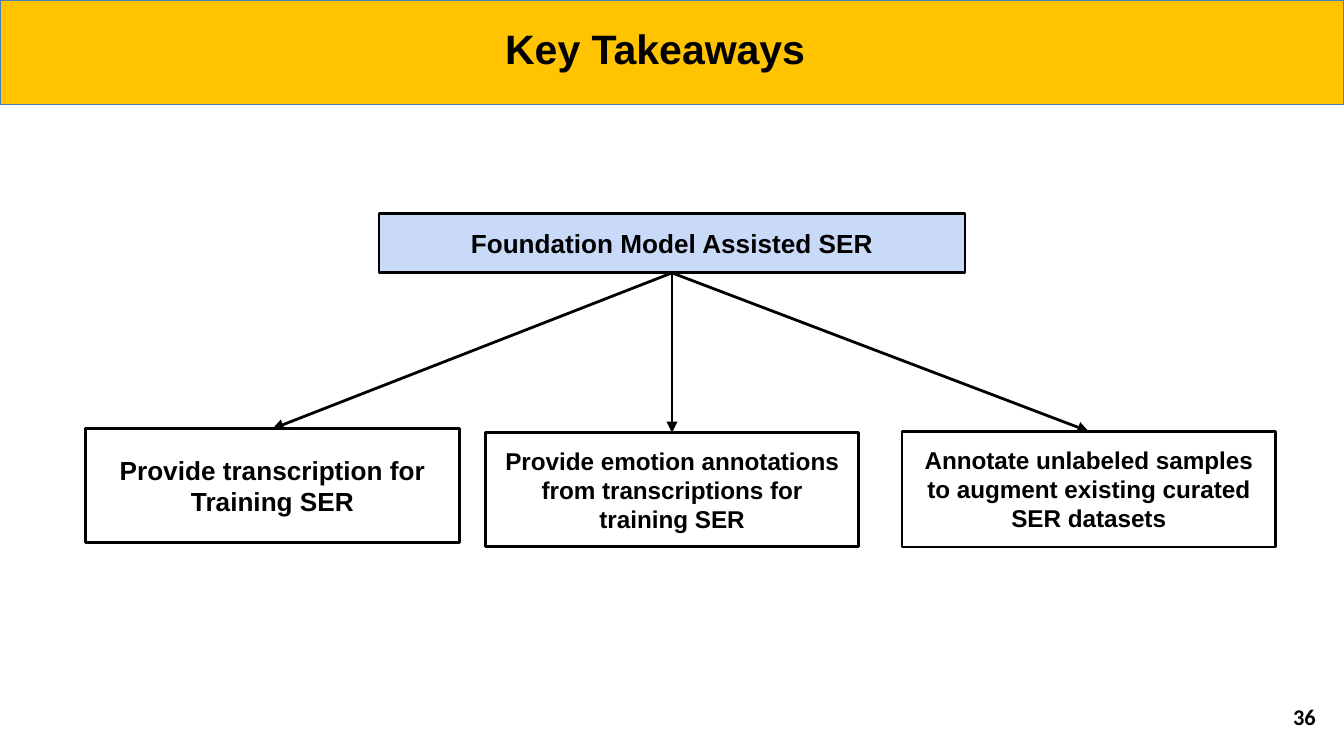
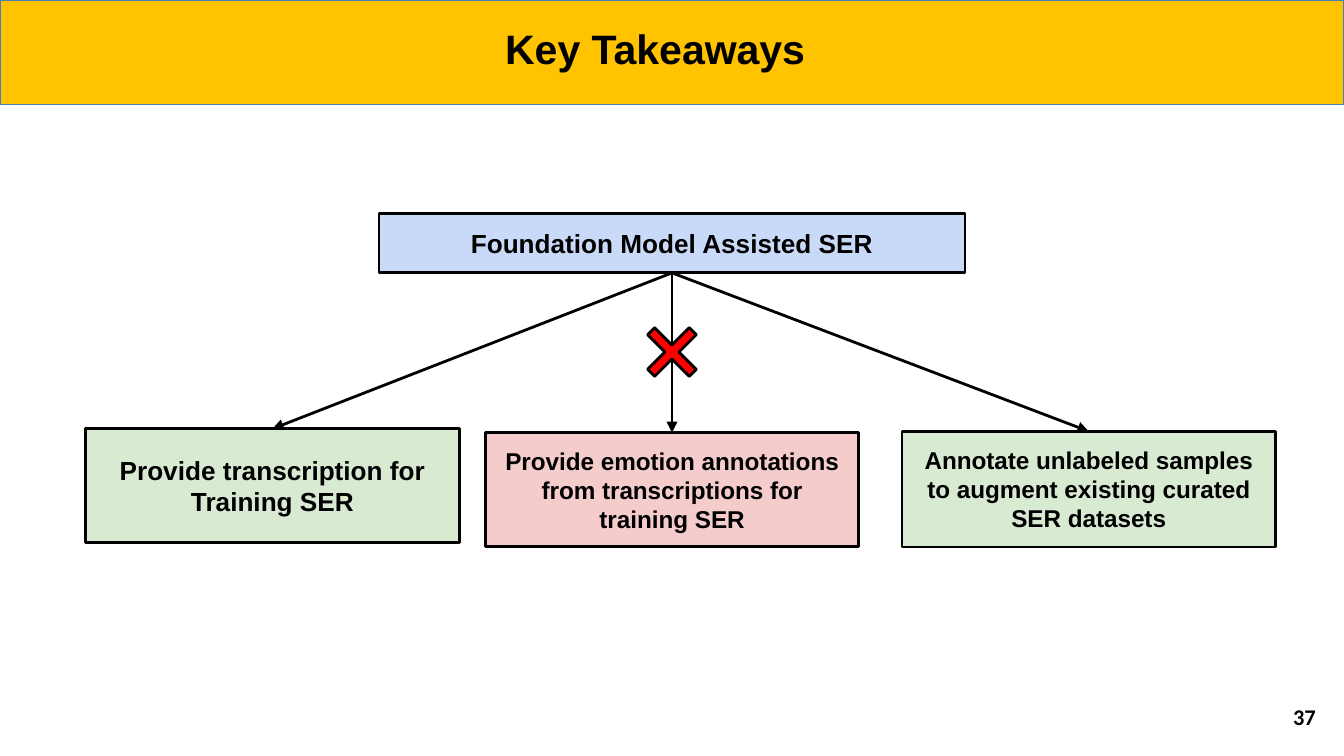
from collections import namedtuple
from dataclasses import dataclass

from lxml import etree
from pptx import Presentation
from pptx.dml.color import RGBColor
from pptx.enum import shapes, text
from pptx.oxml import ns
from pptx.util import Pt

Box = namedtuple("Box", "x y w h")
Goal = namedtuple("Goal", "label x y h size anchor")
TOP, MIDDLE = text.MSO_ANCHOR.TOP, text.MSO_ANCHOR.MIDDLE
CENTER, RIGHT = text.PP_ALIGN.CENTER, text.PP_ALIGN.RIGHT


@dataclass(frozen=True)
class Theme:
    band: str = "FFC302"
    band_line: str = "4A7EBB"
    ink: str = "000000"
    root: str = "C9DAF8"
    good: str = "D9EAD3"
    bad: str = "F4CCCC"
    cross: str = "FF0000"
    font: str = "Arial"
    number_font: str = "Calibri"
    title_size: float = 22
    label_size: float = 14
    small_size: float = 13
    number_size: float = 12
    line: float = 1.5
    inset: float = 7.2


THEME = Theme()
PAGE = Box(0, 0, 720, 405)
BAND = Box(0, 0, 720, 56)
BODY = Box(46, 114.5, 638, 179)
GOAL_WIDTH = 200

# Goal positions are relative to the diagram box
GOALS = [
    Goal("Annotate unlabeled samples to augment existing curated SER datasets",
         437.2, 116.6, 62, THEME.small_size, TOP),
    Goal("Provide transcription for Training SER",
         0, 115.2, 61, THEME.label_size, MIDDLE),
    Goal("Provide emotion annotations from transcriptions for training SER",
         214, 117.3, 61, THEME.small_size, MIDDLE),
]


def color(value):
    return RGBColor.from_string(value)


def write(sp, words, size, font=THEME.font, align=CENTER, anchor=MIDDLE,
          pad_y=THEME.inset):
    tf = sp.text_frame
    tf.text = words
    tf.word_wrap = True
    tf.auto_size = text.MSO_AUTO_SIZE.NONE
    tf.vertical_anchor = anchor
    tf.margin_left = tf.margin_right = Pt(THEME.inset)
    tf.margin_top = tf.margin_bottom = Pt(pad_y)
    p = tf.paragraphs[0]
    p.alignment = align
    f = p.runs[0].font
    f.name, f.size, f.bold = font, Pt(size), True
    f.color.rgb = color(THEME.ink)


def add_shape(slide, kind, box, fill=None, line=THEME.ink, width=THEME.line):
    sp = slide.shapes.add_shape(kind, *map(Pt, box))
    sp.shadow.inherit = False
    if fill:
        sp.fill.solid()
        sp.fill.fore_color.rgb = color(fill)
    else:
        sp.fill.background()
    sp.line.color.rgb = color(line)
    sp.line.width = Pt(width)
    return sp


def add_arrow(slide, start, end):
    """Arrow from the bottom of one rectangle to the top of another."""
    cx = slide.shapes.add_connector(shapes.MSO_CONNECTOR.STRAIGHT, 0, 0, 0, 0)
    cx.begin_connect(start, 2)
    cx.end_connect(end, 0)
    cx.line.color.rgb = color(THEME.ink)
    cx.line.width = Pt(THEME.line)
    etree.SubElement(cx.line._get_or_add_ln(), ns.qn("a:tailEnd"), type="triangle")
    etree.SubElement(cx.element.spPr, ns.qn("a:effectLst"))


def add_band(slide, box):
    """Draw the title band and move it to the layout that all slides share."""
    band = add_shape(slide, shapes.MSO_SHAPE.RECTANGLE, box,
                     THEME.band, THEME.band_line, 0.75)
    slide.slide_layout.shapes.element.insert(2, band.element)


def add_title(slide, box, words):
    title = slide.shapes.title
    title.left, title.top = Pt(box.x + 96), Pt(box.y)
    title.width, title.height = Pt(510), Pt(box.h - 5)
    write(title, words, THEME.title_size)


def add_number(slide, box, number):
    sp = slide.shapes.add_textbox(Pt(box.x + box.w - 51), Pt(box.y + box.h - 36.4),
                                  Pt(43), Pt(31))
    write(sp, str(number), THEME.number_size, THEME.number_font, RIGHT, pad_y=3.6)


def add_diagram(slide, box, fills):
    # Root
    rect = shapes.MSO_SHAPE.RECTANGLE
    root = add_shape(slide, rect, Box(box.x + 157, box.y, 314, 31.7), THEME.root)
    write(root, "Foundation Model Assisted SER", THEME.label_size, anchor=TOP)

    # Goals, each with its arrow
    for goal, fill in zip(GOALS, fills):
        sp = add_shape(slide, rect, Box(box.x + goal.x, box.y + goal.y,
                                        GOAL_WIDTH, goal.h), fill)
        write(sp, goal.label, goal.size, anchor=goal.anchor)
        add_arrow(slide, root, sp)


def add_cross(slide, box):
    size = 43
    sp = add_shape(slide, shapes.MSO_SHAPE.MATH_PLUS,
                   Box(box.x + 314 - size / 2, box.y + 52.6, size, size), THEME.cross)
    sp.rotation = 315
    sp.adjustments[0] = 0.124


def add_takeaways(prs, number, fills, crossed=False):
    slide = prs.slides.add_slide(prs.slide_layouts[5])
    add_title(slide, BAND, "Key Takeaways")
    add_number(slide, PAGE, number)
    add_diagram(slide, BODY, fills)
    if crossed:
        add_cross(slide, BODY)
    return slide


def main():
    prs = Presentation()
    prs.slide_width, prs.slide_height = Pt(PAGE.w), Pt(PAGE.h)
    first = add_takeaways(prs, 36, [None] * 3)
    add_band(first, BAND)
    add_takeaways(prs, 37, [THEME.good, THEME.good, THEME.bad], crossed=True)
    prs.save("out.pptx")


if __name__ == "__main__":
    main()
